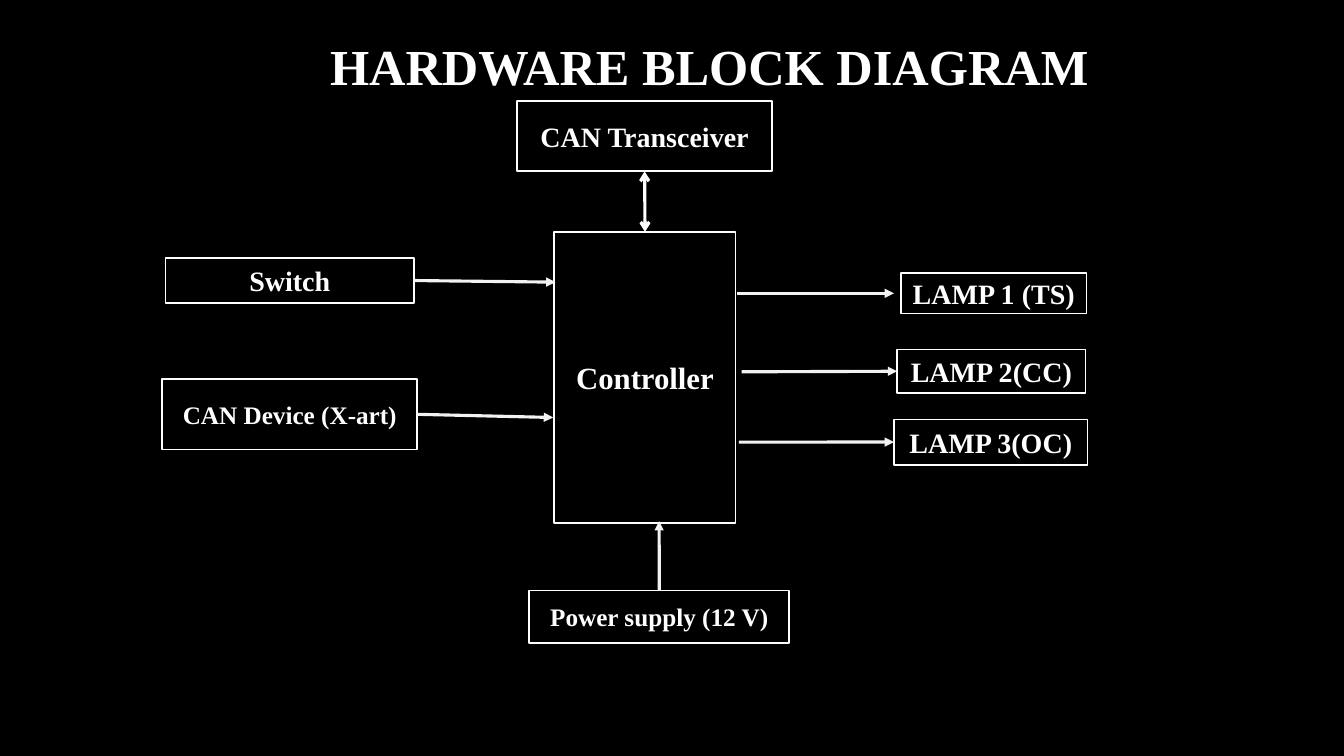
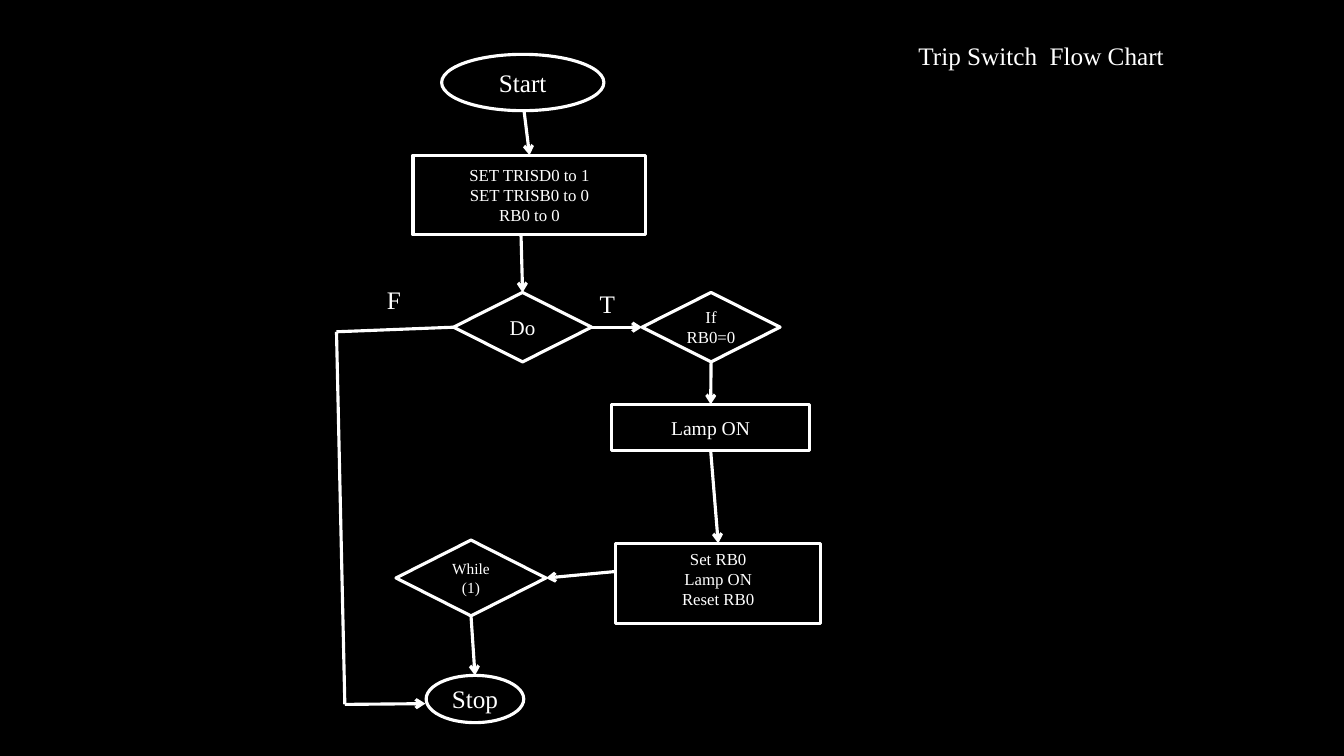
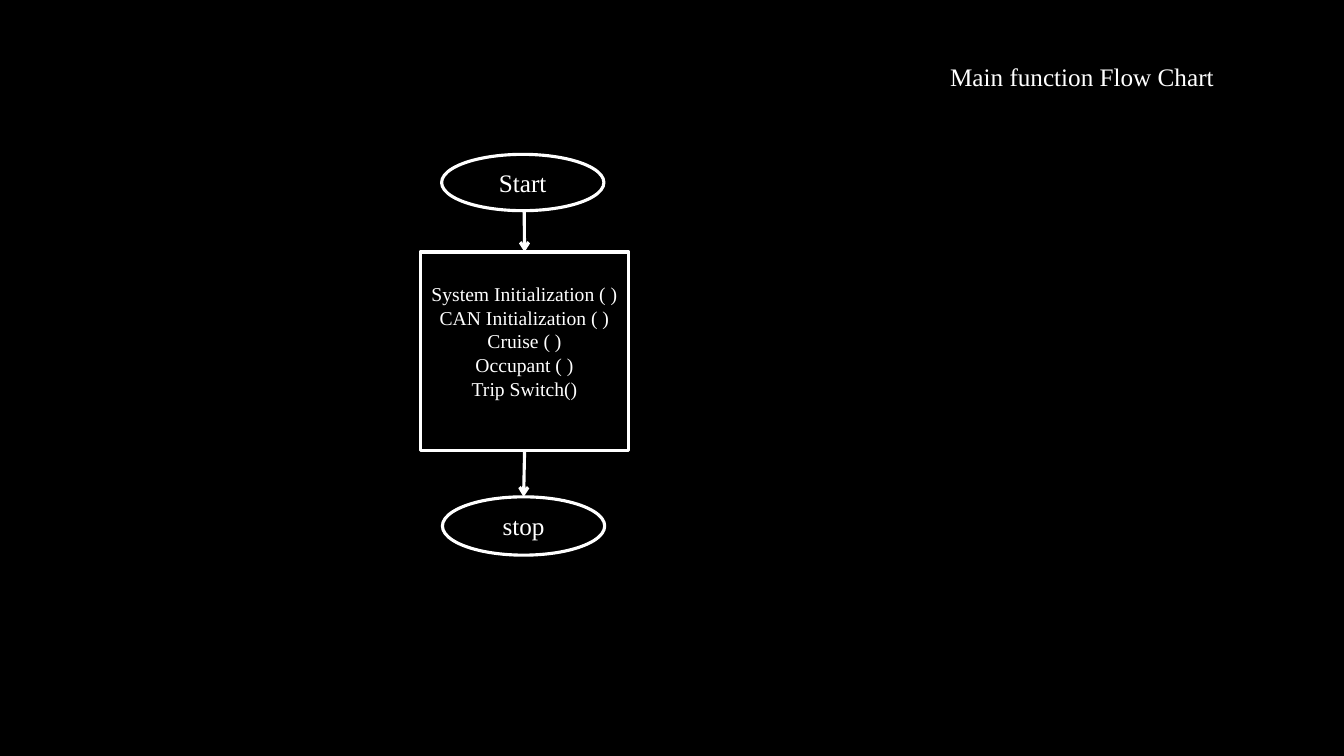
from pptx import Presentation
from pptx.dml.color import RGBColor
from pptx.enum import shapes, text
from pptx.oxml.ns import qn
from pptx.util import Cm, Pt
from lxml import etree

BLACK = RGBColor(0x00, 0x00, 0x00)
WHITE = RGBColor(0xFF, 0xFF, 0xFF)
PALE = RGBColor(0xF2, 0xF2, 0xF2)
FONT = "Times New Roman"
INSET = 0.2

RECT = shapes.MSO_SHAPE.RECTANGLE
OVAL = shapes.MSO_SHAPE.OVAL
TEST = shapes.MSO_SHAPE.FLOWCHART_DECISION
TOP, LEFT, BOTTOM, RIGHT = range(4)

# Content, in centimetres. Node: shape, box, size, lines, extra bottom inset.
# Link: from, to, tail arrow; an end is (node, side) or (x, y).
HARDWARE = {
    "title": ("HARDWARE BLOCK DIAGRAM", (4.39, 0.64, 23.83, 2.21), 36, True, 3.4),
    "weight": 1.25,
    "nodes": {
        "chip": (RECT, (13.97, 5.84, 4.57, 7.34), 22, ["Controller"], 0),
        "power": (RECT, (13.34, 14.88, 6.55, 1.32), 18, ["Power supply (12 V)"], 0),
        "switch": (RECT, (4.17, 6.5, 6.27, 1.14), 20, ["Switch"], 0),
        "device": (RECT, (4.09, 9.55, 6.43, 1.78), 18, ["CAN Device (X-art)"], 0),
        "can": (RECT, (13.03, 2.54, 6.43, 1.78), 20, ["CAN Transceiver"], 0),
        "lamp1": (RECT, (22.71, 6.88, 4.67, 1.02), 20, ["LAMP 1 (TS)"], 0),
        "lamp2": (RECT, (22.61, 8.81, 4.75, 1.09), 20, ["LAMP 2(CC)"], 0),
        "lamp3": (RECT, (22.53, 10.57, 4.88, 1.14), 20, ["LAMP 3(OC)"], 0),
    },
    "labels": [],
    "links": [
        (("can", BOTTOM), ("chip", TOP), "both"),
        (("switch", RIGHT), (14, 7.11), "triangle"),
        (("device", RIGHT), (13.94, 10.52), "triangle"),
        ((18.57, 7.39), (22.53, 7.39), "triangle"),
        ((18.69, 9.37), ("lamp2", LEFT), "triangle"),
        ((18.62, 11.14), ("lamp3", LEFT), "triangle"),
        (("power", TOP), (16.61, 13.13), "triangle"),
    ],
}
TRIP = {
    "title": ("Trip Switch  Flow Chart", (22, 0.8, 8.53, 1.3), 18, False, INSET),
    "weight": 2.25,
    "nodes": {
        "start": (OVAL, (11.13, 1.37, 4.09, 1.42), 18, ["Start"], 0),
        "init": (RECT, (10.41, 3.91, 5.87, 2.01), 12,
                 ["SET TRISD0 to 1", "SET TRISB0 to 0", "RB0 to 0"], 0),
        "do": (TEST, (11.43, 7.37, 3.48, 1.75), 15, ["Do"], 0),
        "if": (TEST, (16.18, 7.37, 3.48, 1.75), 12, ["If RB0=0"], 0),
        "lamp": (RECT, (15.42, 10.19, 4.98, 1.17), 14, ["Lamp ON"], 0),
        "set": (RECT, (15.52, 13.69, 5.16, 2.03), 12,
                ["Set RB0", "Lamp ON", "Reset RB0"], 0.25),
        "while": (TEST, (9.98, 13.61, 3.78, 1.91), 11, ["While", "(1)"], 0),
        "stop": (OVAL, (10.74, 17.02, 2.46, 1.19), 18, ["Stop"], 0),
    },
    "labels": [("F", (9.5, 7.04, 0.97, 1.02)), ("T", (14.86, 7.14, 0.97, 1.02))],
    "links": [
        ((13.21, 2.82), ("init", TOP), "arrow"),
        ((13.13, 5.92), ("do", TOP), "arrow"),
        (("do", RIGHT), ("if", LEFT), "arrow"),
        (("if", BOTTOM), ("lamp", TOP), "arrow"),
        (("lamp", BOTTOM), ("set", TOP), "arrow"),
        ((15.52, 14.4), ("while", RIGHT), "arrow"),
        (("while", BOTTOM), ("stop", TOP), "arrow"),
        (("do", LEFT), (8.48, 8.36), None),
        ((8.48, 8.36), (8.69, 17.75), None),
        ((8.69, 17.75), (10.72, 17.73), "arrow"),
    ],
}
MAIN = {
    "title": ("Main function Flow Chart", (23.37, 1.22, 7.85, 1.5), 18, False, INSET),
    "weight": 2.25,
    "nodes": {
        "start": (OVAL, (11.13, 3.89, 4.09, 1.42), 18, ["Start"], 0),
        "calls": (RECT, (10.59, 6.35, 5.26, 5), 14,
                  ["System Initialization ( )", "CAN Initialization ( )",
                   "Cruise ( )", "Occupant ( )", "Trip Switch()"], 0.5),
        "stop": (OVAL, (11.15, 12.52, 4.09, 1.47), 18, ["stop"], 0),
    },
    "labels": [],
    "links": [
        ((13.21, 5.33), ("calls", TOP), "arrow"),
        (("calls", BOTTOM), ("stop", TOP), "arrow"),
    ],
}


def write(frame, lines, size, bold=False, align=text.PP_ALIGN.CENTER):
    """Fill a text frame, one paragraph per line."""
    frame.word_wrap = True
    frame.auto_size = text.MSO_AUTO_SIZE.NONE
    for i, line in enumerate(lines):
        para = frame.add_paragraph() if i else frame.paragraphs[0]
        para.alignment = align
        run = para.add_run()
        run.text = line
        font = run.font
        font.name, font.size, font.bold = FONT, Pt(size), bold
        font.color.rgb = WHITE


def head(slide, line, box, size, bold, inset):
    """Place and format the title."""
    title = slide.shapes.title
    title.left, title.top, title.width, title.height = map(Cm, box)
    frame = title.text_frame
    frame.vertical_anchor = text.MSO_ANCHOR.MIDDLE
    frame.margin_left = Cm(inset)
    write(frame, [line], size, bold)
    frame.paragraphs[0].line_spacing = 0.9


def node(slide, kind, box, size, lines, lift, weight, bold):
    """Draw an outlined shape with centred text."""
    shape = slide.shapes.add_shape(kind, *map(Cm, box))
    shape.shadow.inherit = False
    shape.fill.background()
    shape.line.color.rgb = WHITE
    shape.line.width = Pt(weight)
    frame = shape.text_frame
    frame.vertical_anchor = text.MSO_ANCHOR.MIDDLE
    frame.margin_left = frame.margin_right = Cm(INSET)
    frame.margin_bottom = Cm(0.13 + lift)
    write(frame, lines, size, bold)
    return shape


def link(slide, nodes, start, end, tip):
    """Draw a straight connector, joined to nodes where its ends name them."""
    joined = [isinstance(spot[0], str) for spot in (start, end)]
    x1, y1 = (0, 0) if joined[0] else start
    x2, y2 = (0, 0) if joined[1] else end
    wire = slide.shapes.add_connector(
        shapes.MSO_CONNECTOR.STRAIGHT, Cm(x1), Cm(y1), Cm(x2), Cm(y2))
    if joined[0]:
        wire.begin_connect(nodes[start[0]], start[1])
    if joined[1]:
        wire.end_connect(nodes[end[0]], end[1])
    wire.line.color.rgb = PALE if tip == "triangle" else WHITE
    wire.line.width = Pt(2.25)
    # Arrowheads and no shadow
    props = wire._element.spPr
    ln = props.find(qn("a:ln"))
    if tip == "both":
        etree.SubElement(ln, qn("a:headEnd"), type="arrow")
    if tip:
        etree.SubElement(ln, qn("a:tailEnd"), type="arrow" if tip == "both" else tip)
    etree.SubElement(props, qn("a:effectLst"))


def build(deck, page):
    slide = deck.slides.add_slide(deck.slide_layouts[5])
    head(slide, *page["title"])
    bold = page["title"][3]
    nodes = {name: node(slide, *part, page["weight"], bold)
             for name, part in page["nodes"].items()}
    for line, box in page["labels"]:
        label = slide.shapes.add_textbox(*map(Cm, box))
        write(label.text_frame, [line], 18, align=text.PP_ALIGN.LEFT)
    for ends in page["links"]:
        link(slide, nodes, *ends)


def main():
    deck = Presentation()
    deck.slide_width, deck.slide_height = Cm(33.87), Cm(19.05)
    # Shared background
    fill = deck.slide_master.background.fill
    fill.solid()
    fill.fore_color.rgb = BLACK
    for page in (HARDWARE, TRIP, MAIN):
        build(deck, page)
    deck.save("out.pptx")


if __name__ == "__main__":
    main()
